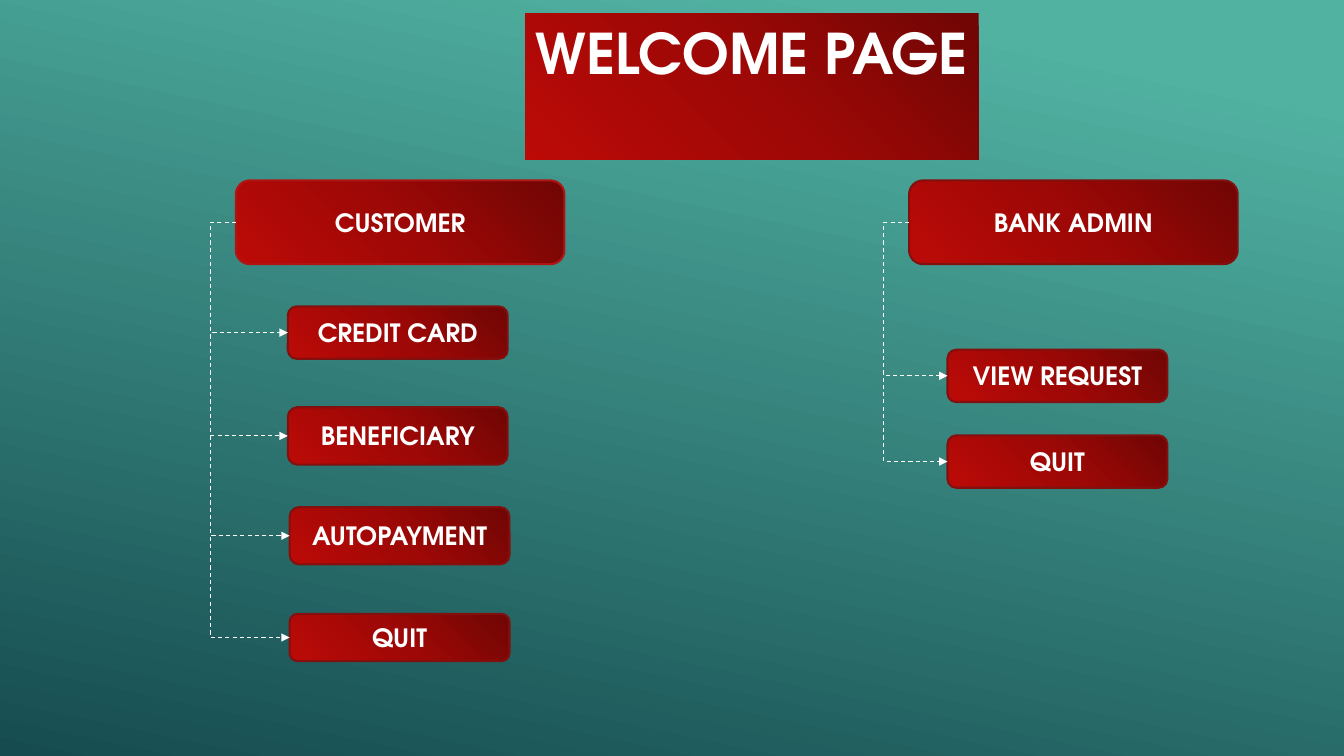
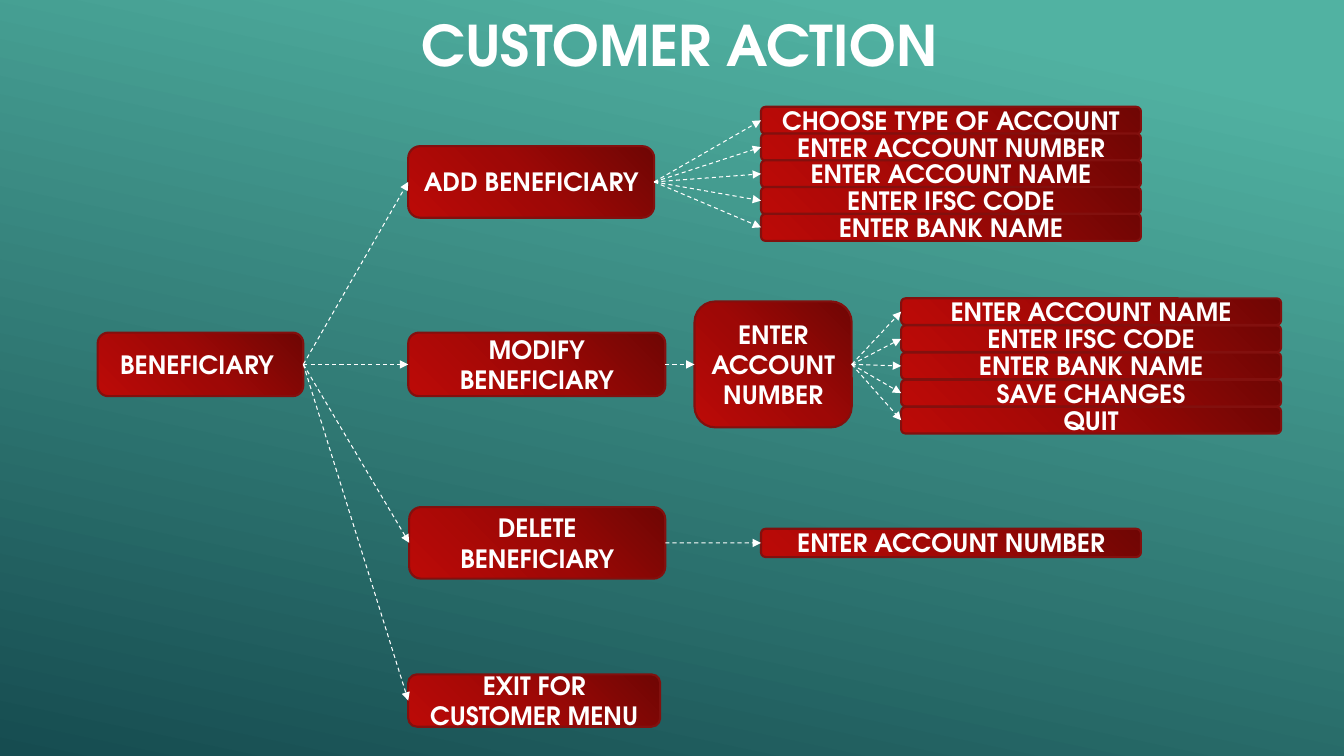
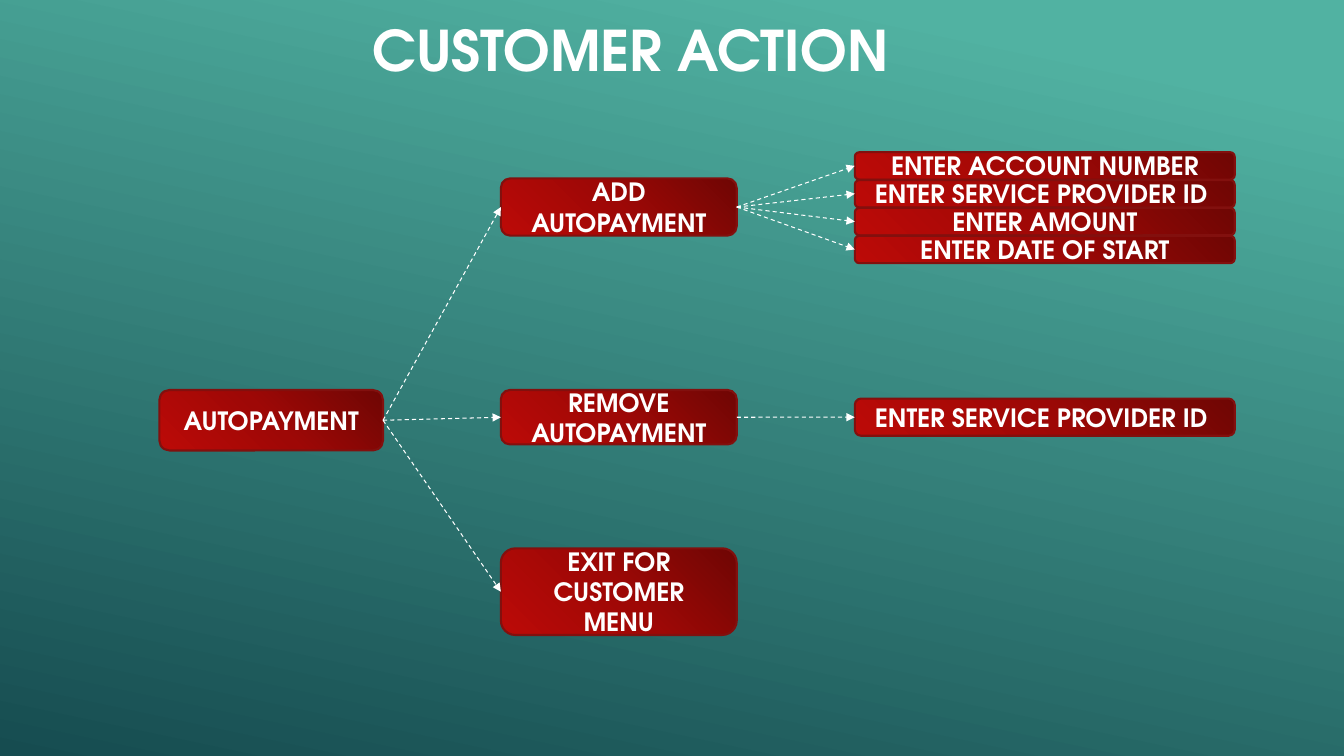
from copy import deepcopy

from pptx import Presentation
from pptx.dml.color import RGBColor
from pptx.enum.dml import MSO_LINE as Dash
from pptx.enum.shapes import MSO_CONNECTOR as Conn, MSO_SHAPE as Geom
from pptx.enum.text import MSO_ANCHOR as Anchor, PP_ALIGN as Align
from pptx.oxml.ns import qn
from pptx.oxml.xmlchemy import OxmlElement as Node
from pptx.util import Pt

WHITE = RGBColor(0xFF, 0xFF, 0xFF)
EDGE = RGBColor(0x82, 0x10, 0x0E)
BRIGHT = RGBColor(0xB0, 0x15, 0x13)
REDS = [(0, RGBColor(0x6F, 0x06, 0x04)),
        (0.5, RGBColor(0x9E, 0x08, 0x06)),
        (1, RGBColor(0xBC, 0x0A, 0x07))]
TEALS = [(0.1, RGBColor(0x51, 0xB2, 0xA2)),
         (1, RGBColor(0x16, 0x4C, 0x50))]
FONT = "TeX Gyre Adventor"
LEFT, RIGHT = 1, 3      # connection sites
TRUNK = 18              # distance from a parent box to its trunk line
LIST_W = 271.4


class Deck:
    """Shared style and the current slide; lengths are in points."""

    def __init__(self):
        self.prs = Presentation()
        self.prs.slide_width, self.prs.slide_height = Pt(960), Pt(540)
        master = self.prs.slide_master
        self.shade(master.background.fill, master.element, TEALS, 258)
        self.slide = None

    def page(self):
        self.slide = self.prs.slides.add_slide(self.prs.slide_layouts[6])

    def shade(self, fill, owner, stops, angle):
        fill.gradient()
        fill.gradient_angle = angle
        marks = owner.find(".//" + qn("a:gsLst"))
        while len(marks) < len(stops):
            marks.append(deepcopy(marks[0]))
        for mark, (place, color) in zip(fill.gradient_stops, stops):
            mark.position = place
            mark.color.rgb = color

    def label(self, shape, text, size, anchor, wrap):
        frame = shape.text_frame
        frame.word_wrap = wrap
        frame.vertical_anchor = anchor
        para = frame.paragraphs[0]
        para.alignment = Align.CENTER
        run = para.add_run()
        run.text = text
        font = run.font
        font.name, font.size, font.bold = FONT, Pt(size), True
        font.color.rgb = WHITE

    def panel(self, geom, x, y, w, h):
        shape = self.slide.shapes.add_shape(geom, Pt(x), Pt(y), Pt(w), Pt(h))
        shape.shadow.inherit = False
        self.shade(shape.fill, shape.element, REDS, 225)
        return shape

    def box(self, text, x, y, w, h, edge=EDGE):
        shape = self.panel(Geom.ROUNDED_RECTANGLE, x, y, w, h)
        shape.line.color.rgb = edge
        shape.line.width = Pt(1.5)
        self.label(shape, text, 18, Anchor.MIDDLE, True)
        return shape

    def stack(self, x, y, h, step, labels):
        return [self.box(text, x, y + i * step, LIST_W, h)
                for i, text in enumerate(labels)]

    def title(self, text, x, y, w, h=55.4):
        shape = self.slide.shapes.add_textbox(Pt(x), Pt(y), Pt(w), Pt(h))
        self.label(shape, text, 40, Anchor.TOP, False)

    def banner(self, text, x, y, w, h):
        shape = self.panel(Geom.RECTANGLE, x, y, w, h)
        shape.line.fill.background()
        self.label(shape, text, 40, Anchor.TOP, False)

    def link(self, kind, start, site, end):
        line = self.slide.shapes.add_connector(kind, 0, 0, 0, 0)
        line.begin_connect(start, site)
        line.end_connect(end, LEFT)
        line.line.color.rgb = WHITE
        line.line.width = Pt(0.75)
        line.line.dash_style = Dash.DASH
        props = line.element.spPr
        head = Node("a:tailEnd")
        head.set("type", "triangle")
        props.find(qn("a:ln")).append(head)
        props.append(Node("a:effectLst"))
        return line

    def fan(self, start, ends):
        for end in ends:
            self.link(Conn.STRAIGHT, start, RIGHT, end)

    def tree(self, start, ends):
        for end in ends:
            line = self.link(Conn.ELBOW, start, LEFT, end)
            ratio = -Pt(TRUNK) / (end.left - start.left)
            guide = Node("a:gd")
            guide.set("name", "adj1")
            guide.set("fmla", f"val {round(ratio * 100000)}")
            line.element.find(".//" + qn("a:avLst")).append(guide)


def welcome(deck):
    deck.page()
    # Customer menu
    user = deck.box("CUSTOMER", 168.5, 128.9, 234.7, 59.8, BRIGHT)
    deck.tree(user, [deck.box(text, x, y, 157, h) for text, x, y, h in [
        ("CREDIT CARD", 205.6, 218.9, 37.4),
        ("BENEFICIARY", 205.6, 290.9, 41),
        ("AUTOPAYMENT", 206.9, 362.2, 41),
        ("QUIT", 206.9, 438.5, 33.8)]])
    # Admin menu
    admin = deck.box("BANK ADMIN", 649.4, 128.9, 234.7, 59.8)
    deck.tree(admin, [deck.box(text, 676.8, y, 157, 37.4) for text, y in [
        ("VIEW REQUEST", 249.8), ("QUIT", 311)]])
    deck.banner("WELCOME PAGE", 375.1, 9.4, 324, 104.4)


def payee(deck):
    deck.page()
    # Actions
    root = deck.box("BENEFICIARY ", 69.8, 237.6, 146.9, 45.4)
    add = deck.box("ADD BENEFICIARY", 291.6, 104.4, 175.7, 51.1)
    edit = deck.box("MODIFY BENEFICIARY", 291.6, 237.6, 183.6, 45.4)
    drop = deck.box("DELETE BENEFICIARY", 292.3, 362.2, 182.9, 51.1)
    leave = deck.box("EXIT FOR CUSTOMER MENU", 291.6, 481.7, 180, 37.4)
    deck.fan(root, [add, edit, drop, leave])
    # Steps of each action
    deck.fan(add, deck.stack(543.6, 76.3, 19.4, 19.1, [
        "CHOOSE TYPE OF ACCOUNT", "ENTER ACCOUNT NUMBER",
        "ENTER ACCOUNT NAME", "ENTER IFSC CODE", "ENTER BANK NAME"]))
    ask = deck.box("ENTER ACCOUNT NUMBER", 496.1, 215.3, 112.3, 90)
    deck.fan(edit, [ask])
    deck.fan(ask, deck.stack(643.7, 213.1, 19, 19.4, [
        "ENTER ACCOUNT NAME", "ENTER IFSC CODE", "ENTER BANK NAME",
        "SAVE CHANGES", "QUIT"]))
    deck.fan(drop, deck.stack(543.6, 377.7, 20.2, 0, ["ENTER ACCOUNT NUMBER"]))
    deck.title("CUSTOMER ACTION", 288, 4.3, 394.6)


def autopay(deck):
    deck.page()
    # Actions
    root = deck.box("AUTOPAYMENT", 113.8, 278.6, 159.8, 43.2)
    acts = [deck.box(text, 357.8, y, 168.5, h) for text, y, h in [
        ("ADD AUTOPAYMENT", 127.4, 41),
        ("REMOVE AUTOPAYMENT", 278.6, 38.9),
        ("EXIT FOR CUSTOMER MENU", 391.7, 61.9)]]
    deck.fan(root, acts)
    # Steps of each action
    add, drop, _ = acts
    deck.fan(add, deck.stack(610.6, 108.7, 19.6, 19.9, [
        "ENTER ACCOUNT NUMBER", "ENTER SERVICE PROVIDER ID ",
        "ENTER AMOUNT", "ENTER DATE OF START"]))
    deck.fan(drop, deck.stack(610.6, 284.7, 26.6, 0,
                              ["ENTER SERVICE PROVIDER ID "]))
    deck.title("CUSTOMER ACTION", 255.6, 7.9, 389.5)


def main():
    deck = Deck()
    for build in (welcome, payee, autopay):
        build(deck)
    deck.prs.save("out.pptx")


if __name__ == "__main__":
    main()
